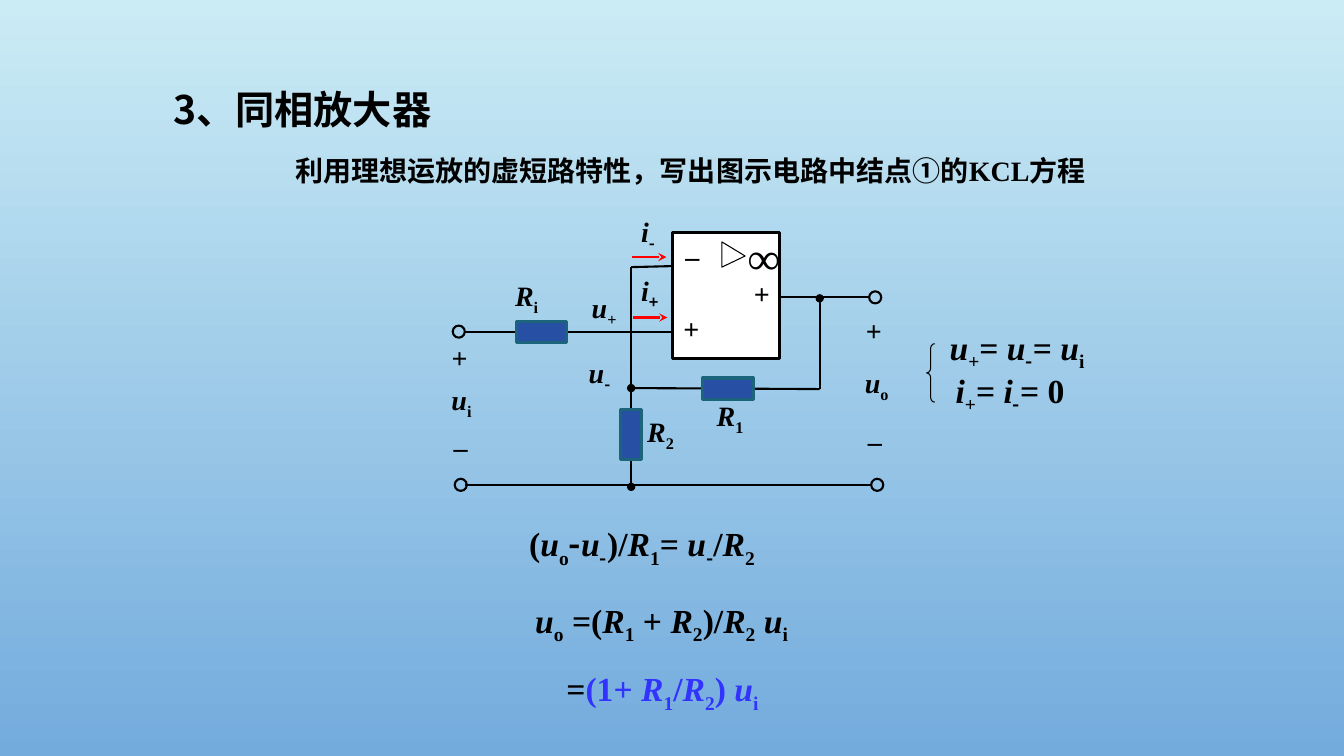
from lxml import etree
from pptx import Presentation
from pptx.dml.color import RGBColor
from pptx.enum.shapes import MSO_CONNECTOR, MSO_SHAPE
from pptx.enum.text import MSO_AUTO_SIZE
from pptx.oxml.ns import qn
from pptx.util import Inches, Pt

STRAIGHT = MSO_CONNECTOR.STRAIGHT
RECTANGLE = MSO_SHAPE.RECTANGLE
TRIANGLE = MSO_SHAPE.ISOSCELES_TRIANGLE
CIRCLE = MSO_SHAPE.OVAL
BRACE = MSO_SHAPE.LEFT_BRACE
FIT_SHAPE = MSO_AUTO_SIZE.SHAPE_TO_FIT_TEXT

COLORS = {
    "sky_top": "CBECF5", "sky_bottom": "73ABDD", "ink": "000000", "white": "FFFFFF",
    "resistor": "274FA4", "resistor_edge": "1C647B", "current": "FF0000", "result": "3333FF",
}
COLORS = {name: RGBColor.from_string(value) for name, value in COLORS.items()}
LATIN = "Times New Roman"
CJK = "Noto Sans CJK SC"

presentation = Presentation()
presentation.slide_width = Inches(13.33)
presentation.slide_height = Inches(7.5)
slide = presentation.slides.add_slide(presentation.slide_layouts[6])

background = slide.background.fill
background.gradient()
background.gradient_angle = 270
for stop, name, position in zip(background.gradient_stops, ("sky_top", "sky_bottom"), (0, 1)):
    stop.color.rgb = COLORS[name]
    stop.position = position


def add_text(left, top, width, height, lines, size=20, wrap=False, spacing=None):
    """Add lines of (text, style) runs; styles: i italic, s subscript, c CJK font, b blue."""
    box = slide.shapes.add_textbox(Inches(left), Inches(top), Inches(width), Inches(height))
    frame = box.text_frame
    frame.word_wrap = wrap
    frame.auto_size = FIT_SHAPE
    for number, line in enumerate(lines):
        paragraph = frame.add_paragraph() if number else frame.paragraphs[0]
        paragraph.line_spacing = spacing
        for text, style in line:
            run = paragraph.add_run()
            run.text = text
            font = run.font
            font.name = CJK if "c" in style else LATIN
            font.size = Pt(size)
            font.bold = True
            font.italic = "i" in style
            font.color.rgb = COLORS["result" if "b" in style else "ink"]
            if "s" in style:
                font._element.set("baseline", "-25000")
    return frame


def add_line(start, end, color="ink", head=None, tail=None):
    line = slide.shapes.add_connector(STRAIGHT, *map(Inches, start + end))
    line.line.color.rgb = COLORS[color]
    line.line.width = Pt(1.5)
    properties = line._element.spPr
    outline = properties.find(qn("a:ln"))
    for tag, kind in (("a:headEnd", head), ("a:tailEnd", tail)):
        if kind:
            etree.SubElement(outline, qn(tag)).set("type", kind)
    etree.SubElement(properties, qn("a:effectLst"))


# Headings
add_text(1.62, 0.8, 3.5, 0.57, [[("3、同相放大器", "c")]], size=28, wrap=True)
task = add_text(2.33, 1.31, 8.75, 0.6, [[
    ("利用理想运放的虚短路特性，写出图示电路中结点", "c"), ("①", "c"),
    ("的", "c"), ("KCL", ""), ("方程", "c"),
]], wrap=True, spacing=1.5)
task.paragraphs[0]._p.get_or_add_pPr().set("marL", str(Inches(0.5)))
for paragraph in task.paragraphs:
    for run in paragraph.runs:
        etree.SubElement(run.font._element, qn("a:ea")).set("typeface", CJK)

# Wires and current arrows
wires = [
    ((4.61, 3.29), (6.69, 3.29), None, None),
    ((6.67, 2.64), (6.26, 2.65), None, None),
    ((6.26, 2.65), (6.26, 4.83), None, "oval"),
    ((6.26, 3.85), (8.13, 3.86), "oval", None),
    ((8.13, 3.86), (8.13, 2.96), None, "oval"),
    ((7.73, 2.95), (8.63, 2.95), None, None),
    ((4.61, 4.81), (8.63, 4.81), None, None),
]
for start, end, head, tail in wires:
    add_line(start, end, head=head, tail=tail)
for left, top in ((6.27, 2.55), (6.28, 3.15)):
    add_line((left, top), (left + 0.34, top), "current", tail="stealth")

# Amplifier, resistors, terminals and brace: kind, box, fill, line, line width, rotation
parts = [
    (RECTANGLE, (6.67, 2.31, 1.06, 1.25), "white", "ink", 2.25, 0),
    (TRIANGLE, (7.15, 2.41, 0.25, 0.23), "white", "ink", 0.75, 90),
    (BRACE, (9.19, 3.41, 0.08, 0.58), None, "ink", 0.75, 0),
]
for box in ((5.12, 3.19, 0.5, 0.21), (6.97, 3.75, 0.5, 0.21), (6.15, 4.06, 0.21, 0.5)):
    parts.append((RECTANGLE, box, "resistor", "resistor_edge", 2.25, 0))
for left, top in ((4.49, 3.23), (4.51, 4.75), (8.62, 2.89), (8.64, 4.75)):
    parts.append((CIRCLE, (left, top, 0.12, 0.12), None, "ink", 1.5, 0))
for kind, box, fill, line, width, rotation in parts:
    shape = slide.shapes.add_shape(kind, *map(Inches, box))
    shape.shadow.inherit = False
    shape.rotation = rotation
    if fill:
        shape.fill.solid()
        shape.fill.fore_color.rgb = COLORS[fill]
    else:
        shape.fill.background()
    shape.line.color.rgb = COLORS[line]
    shape.line.width = Pt(width)
    if kind == TRIANGLE:
        shape.adjustments[0] = 0.56
    elif kind == BRACE:
        shape.adjustments[0] = 0.58

# Signs and circuit labels
for left, top, width, sign in (
    (6.7, 2.23, 0.34, "_"), (6.68, 3.04, 0.36, "+"), (7.38, 2.69, 0.36, "+"),
    (8.49, 3.06, 0.39, "+"), (8.51, 4.06, 0.34, "_"),
    (4.38, 3.33, 0.39, "+"), (4.4, 4.12, 0.34, "_"),
):
    add_text(left, top, width, 0.44, [[(sign, "")]])
add_text(7.32, 2.23, 0.52, 0.64, [[("∞", "")]], size=32)
for left, top, width, symbol, index, style in (
    (5.01, 2.71, 0.44, "R", "i", "s"), (7.01, 3.9, 0.48, "R", "1", "s"),
    (6.32, 4.06, 0.48, "R", "2", "s"), (4.38, 3.75, 0.4, "u", "i", "s"),
    (8.48, 3.58, 0.44, "u", "o", "s"), (5.77, 2.83, 0.45, "u", "+", "s"),
    (5.74, 3.48, 0.45, "u", "-", "sc"), (6.26, 2.08, 0.38, "i", "-", "sc"),
    (6.26, 2.66, 0.38, "i", "+", "sc"),
):
    add_text(left, top, width, 0.44, [[(symbol, "i"), (index, style)]])

# Equations
add_text(9.32, 3.19, 1.61, 0.5, [[
    ("u", "i"), ("+", "s"), ("= ", ""), ("u", "i"), ("-", "sc"),
    ("= ", ""), ("u", "i"), ("i", "s"),
]], size=24)
add_text(9.38, 3.62, 1.34, 0.5, [[
    ("i", "i"), ("+", "s"), ("= ", ""), ("i", "i"), ("-", "sc"), ("= 0", ""),
]], size=24)
add_text(5.15, 5.14, 2.94, 0.5, [[
    ("(", ""), ("u", "i"), ("o", "s"), ("-", "c"), ("u", "i"), ("-", "sc"), (")/", ""),
    ("R", "i"), ("1", "s"), ("= ", ""), ("u", "i"), ("-", "sc"), ("/", ""),
    ("R", "i"), ("2", "s"),
]], size=24, wrap=True)
solution = add_text(5.21, 5.67, 2.78, 1.31, [
    [("u", "i"), ("o", "s"), (" =(", ""), ("R", "i"), ("1", "s"), (" + ", ""), ("R", "i"),
     ("2", "s"), (")/", ""), ("R", "i"), ("2", "s"), (" ", ""), ("u", "i"), ("i", "s")],
    [("=", ""), ("(1+ ", "b"), ("R", "ib"), ("1", "sb"), ("/", "b"), ("R", "ib"),
     ("2", "sb"), (") ", "b"), ("u", "ib"), ("i", "sb")],
], size=24, wrap=True, spacing=1.5)
solution.paragraphs[1]._p.get_or_add_pPr().set("marL", str(Inches(0.31)))

presentation.save("out.pptx")
